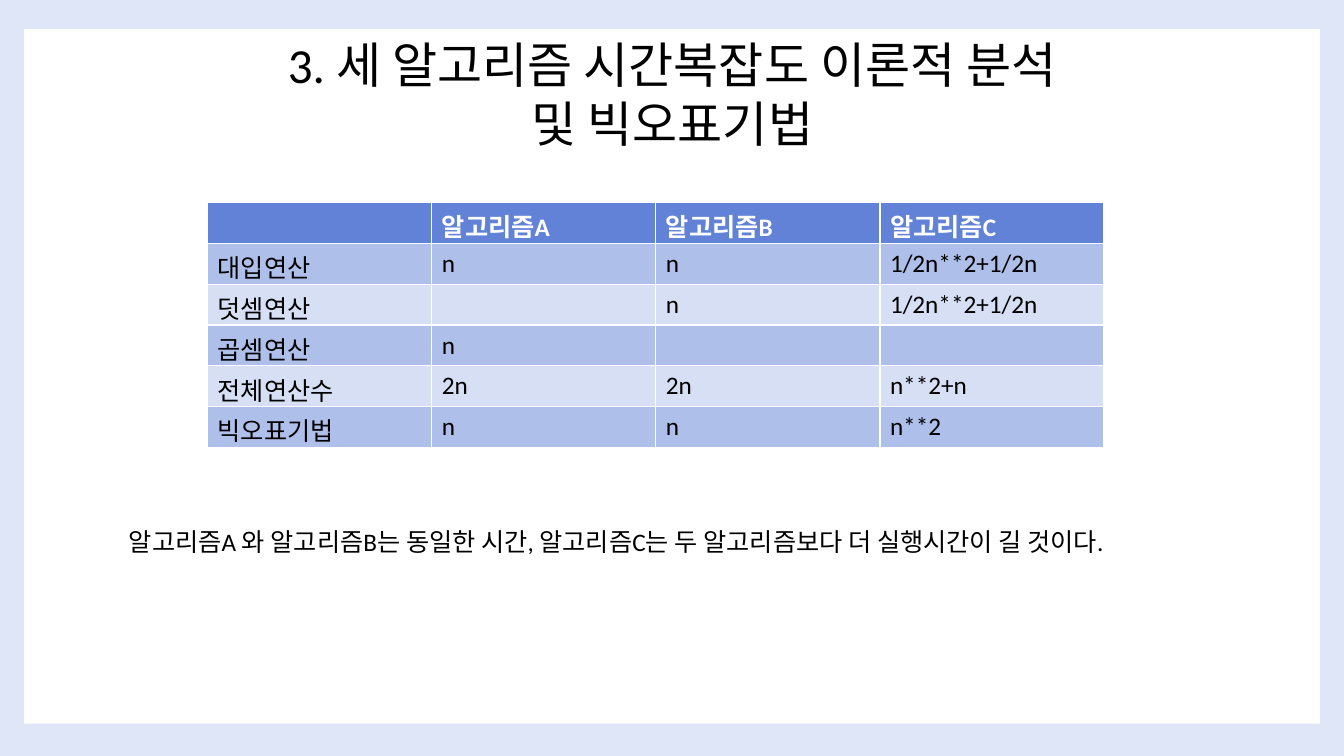
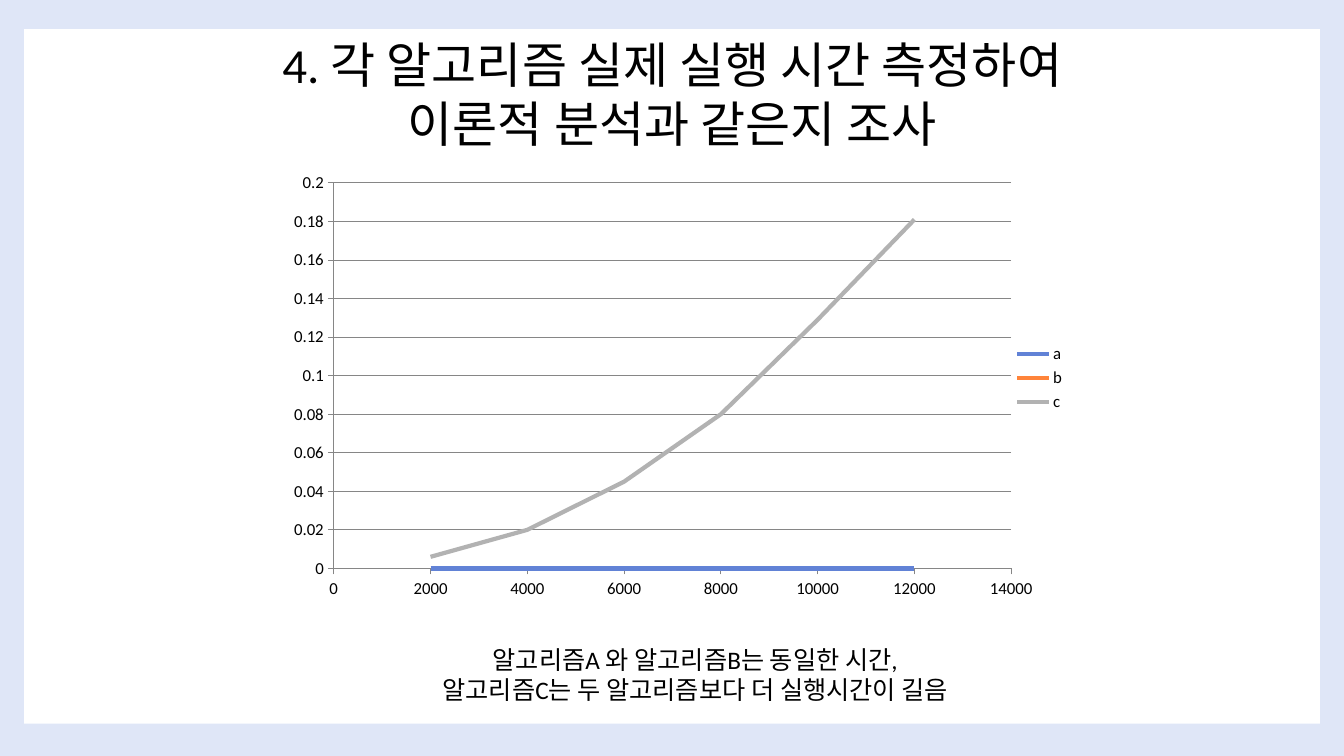
from lxml import etree
from pptx import Presentation
from pptx.chart.data import XyChartData
from pptx.dml.color import RGBColor
from pptx.enum.chart import XL_CHART_TYPE, XL_LEGEND_POSITION, XL_TICK_MARK
from pptx.enum.shapes import MSO_SHAPE
from pptx.enum.text import MSO_ANCHOR, MSO_AUTO_SIZE, PP_ALIGN
from pptx.oxml.ns import qn
from pptx.util import Inches, Pt

RECT = MSO_SHAPE.RECTANGLE
CURVE = XL_CHART_TYPE.XY_SCATTER_SMOOTH_NO_MARKERS
RIGHT = XL_LEGEND_POSITION.RIGHT
OUT = XL_TICK_MARK.OUTSIDE
MIDDLE = MSO_ANCHOR.MIDDLE
FIXED, GROW = MSO_AUTO_SIZE.NONE, MSO_AUTO_SIZE.SHAPE_TO_FIT_TEXT
LEFT, CENTER = PP_ALIGN.LEFT, PP_ALIGN.CENTER

HUES = {
    "frame": "DFE6F7", "panel": "FFFFFF", "text": "000000",
    "head": "6182D6", "odd": "AEBFEA", "even": "D7DFF4", "grid": "868686",
    "a": "6182D6", "b": "FF843A", "c": "B2B2B2",
}
RGB = {name: RGBColor.from_string(hue) for name, hue in HUES.items()}

deck = Presentation()
deck.slide_width, deck.slide_height = Inches(13.33), Inches(7.5)


def style(font, size, hue="text", bold=False):
    form = {"name": "Calibri", "size": Pt(size), "bold": bold}
    for key, value in form.items():
        setattr(font, key, value)
    font.color.rgb = RGB[hue]


def write(shape, text, box, size, align, form):
    """Place a shape and fill it with text in the given format."""
    shape.left, shape.top, shape.width, shape.height = map(Inches, box)
    frame = shape.text_frame
    frame.text = text
    for key, value in form.items():
        setattr(frame, key, value)
    for para in frame.paragraphs:
        para.alignment = align
        style(para.font, size)
        for run in para.runs:
            style(run.font, size)


# Both slides: frame, panel, title and note
BANDS = [("frame", (0, 0, 13.33, 7.5)), ("panel", (0.24, 0.29, 12.85, 6.89))]
TITLE = {"vertical_anchor": MIDDLE, "word_wrap": True, "auto_size": FIXED}
PAGES = [
    ("3. 세 알고리즘 시간복잡도 이론적 분석\v및 빅오표기법",
     "알고리즘A 와 알고리즘B는 동일한 시간, 알고리즘C는 두 알고리즘보다 더 실행시간이 길 것이다.",
     (1.18, 5.17, 10.66, 0.39), LEFT, False),
    ("4. 각 알고리즘 실제 실행 시간 측정하여\n이론적 분석과 같은지 조사",
     "알고리즘A 와 알고리즘B는 동일한 시간,\n알고리즘C는 두 알고리즘보다 더 실행시간이 길음",
     (3.12, 6.34, 7.55, 0.7), CENTER, True),
]
slides = []
for head, note, box, align, wrap in PAGES:
    slide = deck.slides.add_slide(deck.slide_layouts[5])
    slides.append(slide)
    title = slide.shapes.title
    for hue, place in BANDS:
        band = slide.shapes.add_shape(RECT, *map(Inches, place))
        band.shadow.inherit = False
        band.fill.solid()
        band.fill.fore_color.rgb = RGB[hue]
        band.line.fill.background()
        title._element.addprevious(band._element)
    write(title, head, (0.67, 0.3, 12, 1.25), 35, CENTER, TITLE)
    label = slide.shapes.add_textbox(*map(Inches, box))
    write(label, note, box, 18, align, {"word_wrap": wrap, "auto_size": GROW})

# Slide 1: operation counts; the table style draws the white rules
ROWS = [
    ("", "알고리즘A", "알고리즘B", "알고리즘C"),
    ("대입연산", "n", "n", "1/2n**2+1/2n"),
    ("덧셈연산", "", "n", "1/2n**2+1/2n"),
    ("곱셈연산", "n", "", ""),
    ("전체연산수", "2n", "2n", "n**2+n"),
    ("빅오표기법", "n", "n", "n**2"),
]
table = slides[0].shapes.add_table(
    len(ROWS), len(ROWS[0]),
    Inches(2.06), Inches(2.01), Inches(8.89), Inches(2.43)).table
for i, row in enumerate(ROWS):
    fill = "head" if i == 0 else ("even", "odd")[i % 2]
    for j, text in enumerate(row):
        cell = table.cell(i, j)
        cell.text = text
        cell.fill.solid()
        cell.fill.fore_color.rgb = RGB[fill]
        for run in cell.text_frame.paragraphs[0].runs:
            style(run.font, 18, "panel" if i == 0 else "text", i == 0)

# Slide 2: measured run times
SIZES = range(2000, 12001, 2000)
TIMES = {
    "a": [0] * 6,
    "b": [0] * 6,
    "c": [0.006, 0.02, 0.045, 0.08, 0.129, 0.181],
}
data = XyChartData()
for name, times in TIMES.items():
    line = data.add_series(name)
    for size, time in zip(SIZES, times):
        line.add_data_point(size, time)
chart = slides[1].shapes.add_chart(
    CURVE, Inches(2.67), Inches(1.5), Inches(8), Inches(4.5), data).chart
chart.has_title = False
style(chart.font, 12)
chart.has_legend = True
chart.legend.position = RIGHT
chart.legend.include_in_layout = False
for line in chart.plots[0].series:
    line.smooth = True
    line.format.line.width = Pt(3)
    line.format.line.color.rgb = RGB[line.name]

chart.category_axis.has_major_gridlines = False
chart.value_axis.has_major_gridlines = True
rules = [chart.value_axis.major_gridlines]
for axis, top, step in ((chart.category_axis, 14000, 2000),
                        (chart.value_axis, 0.2, 0.02)):
    form = {"minimum_scale": 0, "maximum_scale": top, "major_unit": step,
            "major_tick_mark": OUT}
    for key, value in form.items():
        setattr(axis, key, value)
    axis.tick_labels.number_format = "General"
    axis.tick_labels.number_format_is_linked = False
    rules.append(axis)
for rule in rules:
    rule.format.line.width = Pt(0.75)
    rule.format.line.color.rgb = RGB["grid"]

# Inner plot area as shares of the chart
plot = chart._chartSpace.chart.plotArea
for old in plot.findall(qn("c:layout")):
    plot.remove(old)
layout = etree.Element(qn("c:layout"))
plot.insert(0, layout)
manual = etree.SubElement(layout, qn("c:manualLayout"))
for tag, value in (("layoutTarget", "inner"), ("xMode", "edge"),
                   ("yMode", "edge"), ("x", 0.08), ("y", 0.07),
                   ("w", 0.84), ("h", 0.85)):
    etree.SubElement(manual, qn("c:" + tag)).set("val", str(value))

deck.save("out.pptx")
